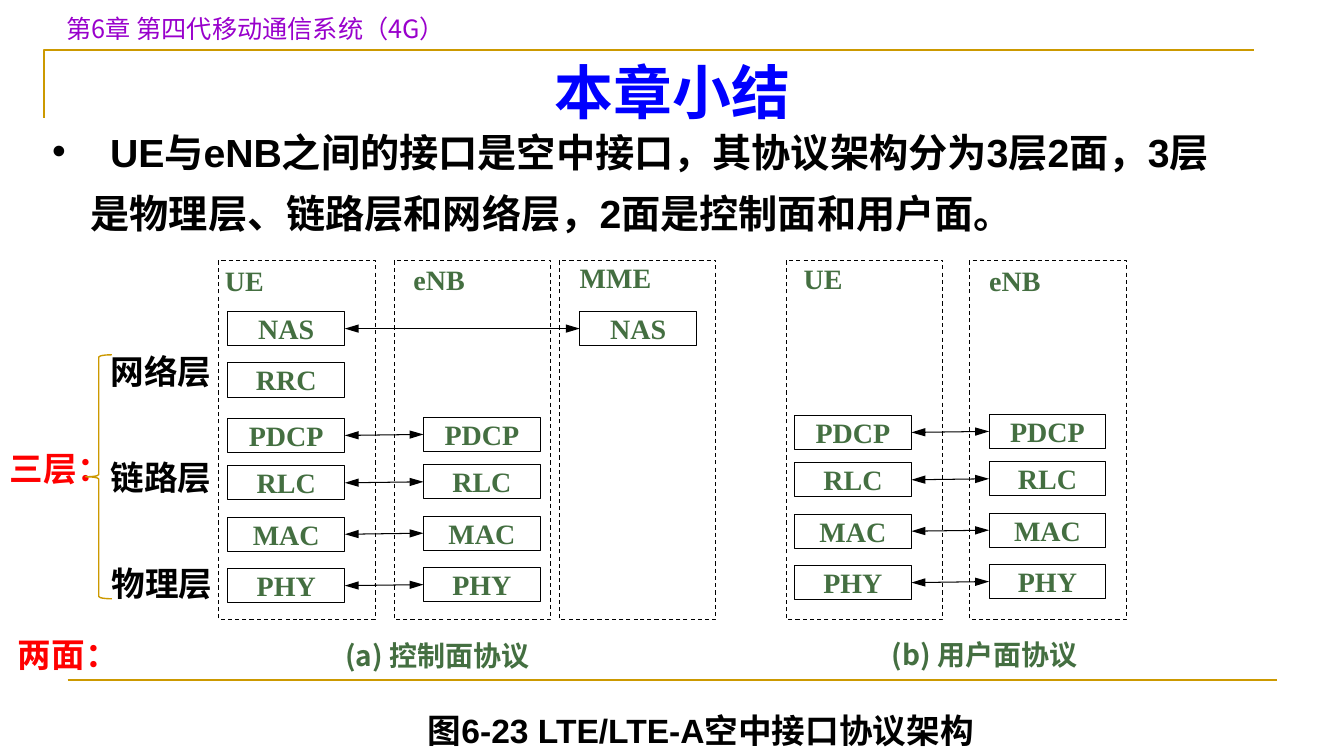
from dataclasses import dataclass

from lxml.etree import SubElement
from pptx import Presentation
from pptx.dml.color import RGBColor
from pptx.enum.dml import MSO_LINE
from pptx.enum.shapes import MSO_CONNECTOR, MSO_SHAPE
from pptx.enum.text import MSO_ANCHOR, MSO_AUTO_SIZE, PP_ALIGN
from pptx.oxml.ns import qn
from pptx.util import Emu, Pt

PX = 9144  # 100 px to the inch


@dataclass(frozen=True)
class Theme:
    gold: str = "CC9900"
    purple: str = "9900CC"
    blue: str = "0000FF"
    red: str = "FF0000"
    green: str = "446F41"
    black: str = "000000"
    serif: str = "Times New Roman"
    sans: str = "Arial"
    chinese: str = "Noto Sans CJK SC"
    header_font: str = "Noto Sans CJK JP"
    header: int = 18
    diagram: int = 20
    label: int = 24
    body: int = 28
    title: int = 42


THEME = Theme()

HEADER = "第6章 第四代移动通信系统（4G）"
TITLE = "本章小结"
SUMMARY = ("\u2002UE与eNB之间的接口是空中接口，其协议架构分为3层2面，"
           "3层是物理层、链路层和网络层，2面是控制面和用户面。")
CAPTION = "图6-23 LTE/LTE-A空中接口协议架构"

# text, left, top
RED_LABELS = [("三层：", 0, 439), ("两面：", 8, 624)]
LAYER_LABELS = [("网络层", 100, 343), ("链路层", 100, 448), ("物理层", 101, 554)]
# text, left, top, width
PLANE_LABELS = [("(a) 控制面协议", 317, 633, 234), ("(b) 用户面协议", 867, 632, 219)]

LAYER_TOPS = {"NAS": 309, "RRC": 360, "PDCP": 415, "RLC": 462, "MAC": 513, "PHY": 564}
RADIO = ["PDCP", "RLC", "MAC", "PHY"]
# name, frame left, box left, label left, label top, vertical shift, layers
COLUMNS = [
    ("UE", 217, 226, 223, 261, 0, list(LAYER_TOPS)),
    ("eNB", 391, 420, 410, 260, -1, RADIO),
    ("MME", 555, 575, 575, 258, 0, ["NAS"]),
    ("UE", 780, 788, 797, 259, -3, RADIO),
    ("eNB", 962, 981, 981, 261, -4, RADIO),
]
# left column, right column, layers that talk to each other
PEERS = [(0, 1, RADIO), (0, 2, ["NAS"]), (3, 4, RADIO)]
FRAME_TOP, FRAME_WIDTH, FRAME_HEIGHT = 258, 155, 357
BOX_WIDTH, BOX_HEIGHT = 116, 34


def px(*lengths):
    return [Emu(length * PX) for length in lengths]


def colour(value):
    return RGBColor.from_string(value)


def write(shape, text, size, font, ink, bold=True, align=PP_ALIGN.LEFT,
          anchor=MSO_ANCHOR.TOP, inset=None):
    frame = shape.text_frame
    frame.word_wrap = True
    frame.vertical_anchor = anchor
    if inset is not None:
        frame.margin_left = frame.margin_top = inset
        frame.margin_right = frame.margin_bottom = inset
    frame.text = text
    para = frame.paragraphs[0]
    para.alignment = align
    for span in para.runs:
        span.font.size = Pt(size)
        span.font.bold = bold
        span.font.color.rgb = colour(ink)
        span.font.name = font
        east_asian = font if font.startswith("Noto") else THEME.chinese
        SubElement(span.font._element, qn("a:ea"), typeface=east_asian)
    return para


def add_text(page, place, text, *style, grow=True, **options):
    box = page.shapes.add_textbox(*px(*place))
    para = write(box, text, *style, **options)
    if grow:
        box.text_frame.auto_size = MSO_AUTO_SIZE.SHAPE_TO_FIT_TEXT
    return para


def add_outline(page, kind, place, ink, weight=0.75):
    shape = page.shapes.add_shape(kind, *px(*place))
    shape.shadow.inherit = False
    shape.fill.background()
    shape.line.color.rgb = colour(ink)
    shape.line.width = Pt(weight)
    return shape


def add_line(page, ends, ink, weight):
    line = page.shapes.add_connector(MSO_CONNECTOR.STRAIGHT, *px(*ends))
    line.line.color.rgb = colour(ink)
    line.line.width = Pt(weight)
    SubElement(line._element.spPr, qn("a:effectLst"))
    return line


def add_peer_arrow(page, left_box, right_box):
    arrow = add_line(page, (0, 0, 0, 0), THEME.black, 0.75)
    arrow.begin_connect(left_box, 3)
    arrow.end_connect(right_box, 1)
    for end in ("a:headEnd", "a:tailEnd"):
        SubElement(arrow.line._get_or_add_ln(), qn(end), type="triangle", w="med", len="lg")


def add_frame_lines(page):
    builder = page.shapes.build_freeform(44, 117, scale=PX)
    builder.add_line_segments([(44, 50), (1244, 50)], close=False)
    corner = builder.convert_to_shape()
    corner.shadow.inherit = False
    corner.fill.background()
    corner.line.color.rgb = colour(THEME.gold)
    corner.line.width = Pt(1.5)
    add_line(page, (67, 675, 1267, 675), THEME.gold, 1.5)


def add_protocol_stacks(page):
    style = (THEME.diagram, THEME.serif, THEME.green)
    boxes = {}
    for index, (name, frame_left, box_left, label_left, label_top, shift, layers) in enumerate(COLUMNS):
        frame = add_outline(page, MSO_SHAPE.RECTANGLE,
                            (frame_left, FRAME_TOP, FRAME_WIDTH, FRAME_HEIGHT), THEME.black)
        frame.line.dash_style = MSO_LINE.DASH
        label_width = 114 if name == "MME" else 58
        add_text(page, (label_left, label_top, label_width, BOX_HEIGHT), name, *style,
                 grow=False, inset=0)
        for layer in layers:
            place = (box_left, LAYER_TOPS[layer] + shift, BOX_WIDTH, BOX_HEIGHT)
            box = add_outline(page, MSO_SHAPE.RECTANGLE, place, THEME.black)
            write(box, layer, *style, align=PP_ALIGN.CENTER, inset=0)
            boxes[index, layer] = box
    for left, right, layers in PEERS:
        for layer in layers:
            add_peer_arrow(page, boxes[left, layer], boxes[right, layer])


def add_labels(page):
    for text, left, top, width in PLANE_LABELS:
        add_text(page, (left, top, width, 34), text, THEME.diagram, THEME.chinese,
                 THEME.green, grow=False, align=PP_ALIGN.CENTER, inset=0)
    for labels, font, ink in ((RED_LABELS, THEME.chinese, THEME.red),
                              (LAYER_LABELS, THEME.sans, THEME.black)):
        for text, left, top in labels:
            add_text(page, (left, top, 444, 50), text, THEME.label, font, ink)
    add_outline(page, MSO_SHAPE.LEFT_BRACE, (85, 352, 26, 242), THEME.gold, 1)


def add_summary(page):
    para = add_text(page, (42, 108, 1203, 132), SUMMARY, THEME.body, THEME.sans, THEME.black)
    para.line_spacing = 1.3
    properties = para._p.get_or_add_pPr()
    properties.set("marL", str(38 * PX))
    properties.set("indent", str(-38 * PX))
    SubElement(properties, qn("a:buFont"), typeface=THEME.sans)
    SubElement(properties, qn("a:buChar"), char="•")


def main():
    deck = Presentation()
    deck.slide_width, deck.slide_height = px(1333, 750)
    page = deck.slides.add_slide(deck.slide_layouts[6])
    add_frame_lines(page)
    add_text(page, (56, 8, 578, 40), HEADER, THEME.header, THEME.header_font,
             THEME.purple, bold=False)
    add_protocol_stacks(page)
    add_text(page, (391, 699, 608, 50), CAPTION, THEME.label, THEME.sans, THEME.black,
             align=PP_ALIGN.CENTER, anchor=MSO_ANCHOR.MIDDLE)
    add_labels(page)
    add_summary(page)
    add_text(page, (67, 50, 1200, 88), TITLE, THEME.title, THEME.serif, THEME.blue,
             grow=False, align=PP_ALIGN.CENTER)
    deck.save("out.pptx")


if __name__ == "__main__":
    main()
